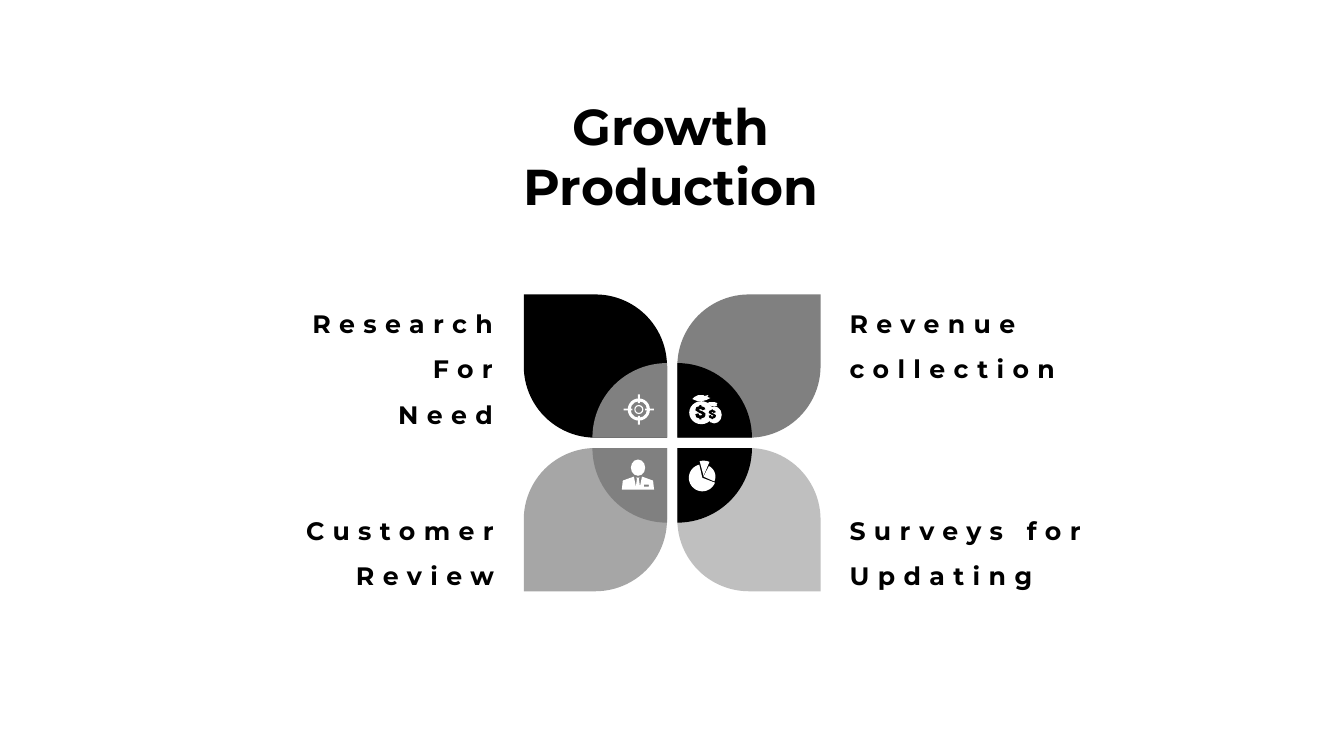
import math
import pptx
import pptx.util
import pptx.dml.color
import pptx.enum.shapes
import pptx.enum.text

Cm = pptx.util.Cm
Pt = pptx.util.Pt
MSO = pptx.enum.shapes.MSO_SHAPE
ALIGN = pptx.enum.text.PP_ALIGN

FONT = "Montserrat"
BLACK, WHITE, GREY = "000000", "FFFFFF", "808080"
CENTER_X, CENTER_Y, HALF_GAP = 16.94, 11.16, 0.13
PETAL, WEDGE = 3.61, 1.88
UNIT = 0.0254

TITLE = (12.85, 2.26, 8.13, 3.33, ["Growth", "Production"])
LABELS = [
    (21.16, 7.26, 11.15, 2.44, ALIGN.LEFT, ["Revenue", "collection"]),
    (21.16, 12.47, 11.89, 2.44, ALIGN.LEFT, ["Surveys for", "Updating"]),
    (2.26, 7.26, 10.41, 3.58, ALIGN.RIGHT, ["Research", "For", "Need"]),
    (1.8, 12.47, 10.9, 2.44, ALIGN.RIGHT, ["Customer", "Review"]),
]
PETALS = [
    (1, -1, GREY, BLACK, 90),
    (-1, -1, BLACK, GREY, 0),
    (1, 1, "BFBFBF", BLACK, 180),
    (-1, 1, "A6A6A6", GREY, 270),
]

HEAD = (15.9, 11.58, 0.36, 0.41)
SUIT = [
    [(31, 4), (20, 0), (18, 10), (17, 2), (18, 1), (14, 1), (15, 2),
     (14, 10), (12, 0), (1, 4), (0, 13), (32, 13)],
    [(27, 10), (22, 10), (22, 8), (27, 8)],
]
SECTORS = [
    (17.7, 12.04, 0.34, 21, 257),
    (17.73, 12.01, 0.3, -63, 24),
    (17.73, 11.99, 0.38, -105, -67),
]
BAGS = [(17.37, 10.11, 0.61, 0.58), (17.81, 10.24, 0.38, 0.43)]
BAG_TIES = [
    [(8, 7), (3, 5), (5, 3), (9, 1), (14, 1), (15, 2), (19, 1), (18, 3),
     (21, 4), (17, 6), (13, 7)],
    [(18, 9), (20, 8), (25, 8), (28, 9), (27, 11), (28, 12), (22, 12)],
]
DOLLAR = [
    (1, 7), (-1, 7), (-1, 6), (-4, 5), (-5, 2), (-2, 1), (-1, 3), (1, 3),
    (2, 2), (-2, 0), (-5, -2), (-4, -5), (-1, -6), (-1, -7), (1, -7),
    (1, -6), (4, -5), (5, -3), (2, -2), (1, -3), (-1, -3), (-1, -2),
    (2, -1), (5, 1), (5, 3), (4, 5), (1, 6),
]
DOLLARS = [(17.65, 10.39, 1), (17.95, 10.44, 0.7)]
TARGET_X, TARGET_Y = 16.1, 10.32
RINGS = [0.56, 0.23]
TICK_START, TICK_LENGTH, TICK_WIDTH = 0.16, 0.22, 0.05

prs = pptx.Presentation()
prs.slide_width, prs.slide_height = Cm(33.87), Cm(19.05)
s = prs.slides.add_slide(prs.slide_layouts[6])


def rgb(color):
    return pptx.dml.color.RGBColor.from_string(color)


def paint(sp, color):
    sp.fill.solid()
    sp.fill.fore_color.rgb = rgb(color)
    sp.line.fill.background()
    sp.shadow.inherit = False
    return sp


def shape(kind, x, y, w, h, color):
    return paint(s.shapes.add_shape(kind, Cm(x), Cm(y), Cm(w), Cm(h)), color)


def outline(contours, x, y, unit, color):
    builder = None
    for contour in contours:
        points = [(Cm(x + px * unit), Cm(y + py * unit)) for px, py in contour]
        if builder is None:
            builder = s.shapes.build_freeform(*points[0])
        else:
            builder.move_to(*points[0])
        builder.add_line_segments(points[1:], close=True)
    paint(builder.convert_to_shape(), color)


def text(x, y, w, h, lines, size, align, line_spacing=None, tracking=None):
    tf = s.shapes.add_textbox(Cm(x), Cm(y), Cm(w), Cm(h)).text_frame
    tf.word_wrap = True
    tf.auto_size = pptx.enum.text.MSO_AUTO_SIZE.SHAPE_TO_FIT_TEXT
    for i, line in enumerate(lines):
        p = tf.add_paragraph() if i else tf.paragraphs[0]
        p.alignment = align
        p.line_spacing = line_spacing
        r = p.add_run()
        r.text = line
        r.font.name, r.font.size, r.font.bold = FONT, Pt(size), True
        r.font.color.rgb = rgb(BLACK)
        if tracking:
            r.font._element.set("spc", str(tracking * 100))


def corner(side_x, side_y, size):
    return [c + side * HALF_GAP - (size if side < 0 else 0)
            for c, side in ((CENTER_X, side_x), (CENTER_Y, side_y))]


for side_x, side_y, petal_color, wedge_color, rotation in PETALS:
    petal = shape(MSO.ROUND_2_DIAG_RECTANGLE, *corner(side_x, side_y, PETAL),
                  PETAL, PETAL, petal_color)
    falling = side_x == side_y
    petal.adjustments[0] = 0 if falling else 0.5
    petal.adjustments[1] = 0.5 if falling else 0
    wedge = shape(MSO.PIE_WEDGE, *corner(side_x, side_y, WEDGE),
                  WEDGE, WEDGE, wedge_color)
    wedge.rotation = rotation

outline(SUIT, 15.67, 12.01, UNIT, WHITE)
shape(MSO.OVAL, *HEAD, WHITE)

for x, y, radius, start, end in SECTORS:
    angles = [math.radians(start + (end - start) * i / 30) for i in range(31)]
    arc = [(math.cos(a), math.sin(a)) for a in angles]
    outline([[(0, 0)] + arc], x, y, radius, WHITE)

for bag in BAGS:
    shape(MSO.OVAL, *bag, WHITE)
for tie in BAG_TIES:
    outline([tie], 17.37, 9.93, UNIT, WHITE)
for x, y, scale in DOLLARS:
    outline([DOLLAR], x, y, UNIT * scale, BLACK)

for d in RINGS:
    ring = shape(MSO.DONUT, TARGET_X - d / 2, TARGET_Y - d / 2, d, d, WHITE)
    ring.adjustments[0] = 0.13
for dx, dy in ((1, 0), (-1, 0), (0, 1), (0, -1)):
    w, h = (TICK_LENGTH, TICK_WIDTH) if dx else (TICK_WIDTH, TICK_LENGTH)
    reach = TICK_START + TICK_LENGTH / 2
    shape(MSO.RECTANGLE, TARGET_X + dx * reach - w / 2,
          TARGET_Y + dy * reach - h / 2, w, h, WHITE)

for x, y, w, h, align, lines in LABELS:
    text(x, y, w, h, lines, 18, align, 1.5, 6)
text(*TITLE, 36, ALIGN.CENTER)

prs.save("out.pptx")
